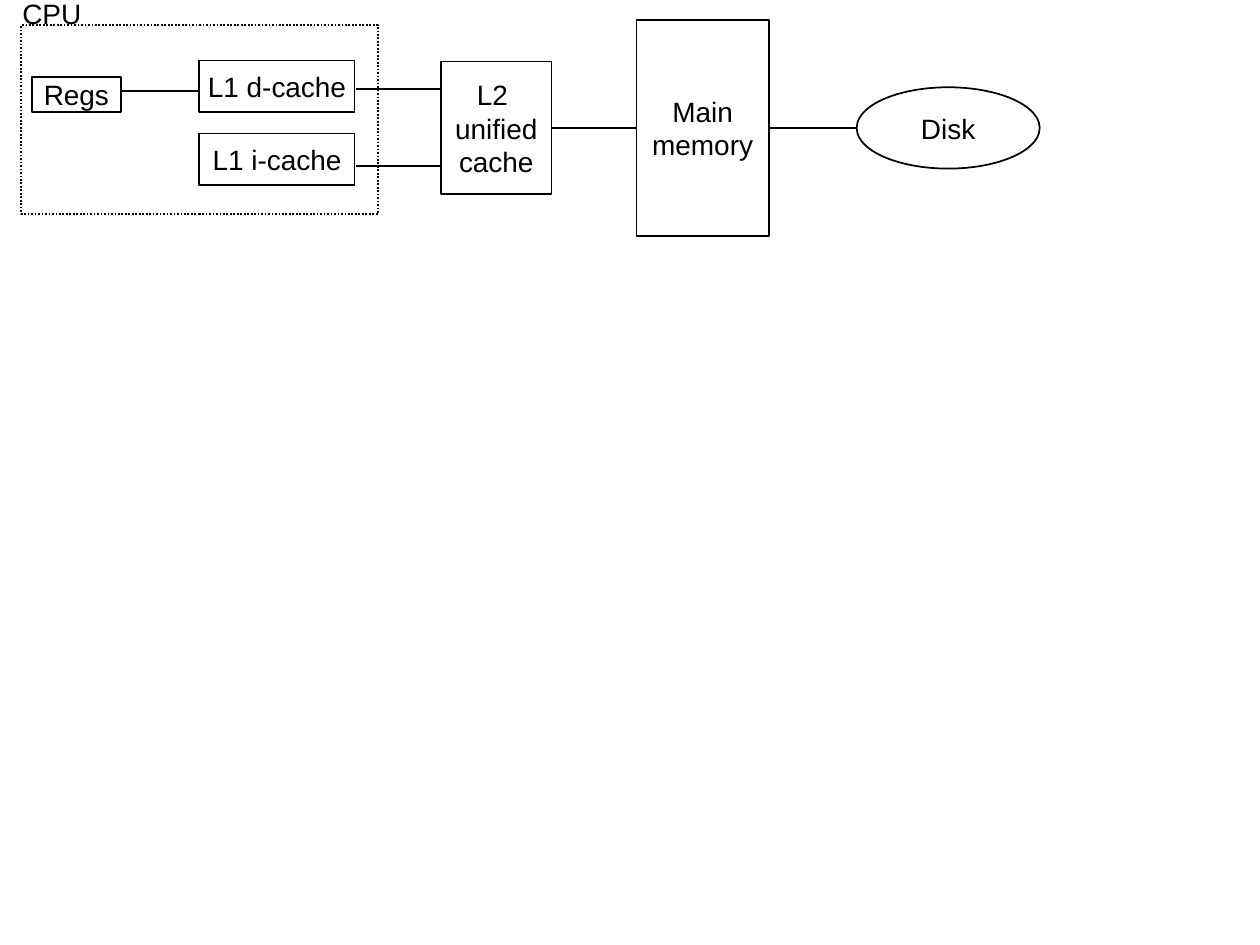
"""Build a slide showing the memory hierarchy from registers to disk."""
import pptx
import pptx.dml.color
import pptx.enum.dml
import pptx.enum.shapes
import pptx.enum.text
import pptx.oxml
import pptx.oxml.ns
import pptx.util

Cm, Pt = pptx.util.Cm, pptx.util.Pt
SHAPES = pptx.enum.shapes.MSO_SHAPE
STRAIGHT = pptx.enum.shapes.MSO_CONNECTOR.STRAIGHT
RIGHT, LEFT = 3, 1
BLACK, WHITE = "000000", "FFFFFF"

AXIS = 2.58
L1_LEFT, L1_WIDTH, L1_HEIGHT = 4.02, 3.13, 1.04
L2_LEFT = 8.89

UNITS = [
    ("Main\nmemory", SHAPES.RECTANGLE, 12.83, AXIS, 2.67, 4.36),
    ("Disk", SHAPES.OVAL, 17.27, AXIS, 3.69, 1.64),
    ("L1 i-cache", SHAPES.RECTANGLE, L1_LEFT, 3.21, L1_WIDTH, L1_HEIGHT),
    ("L1 d-cache", SHAPES.RECTANGLE, L1_LEFT, 1.74, L1_WIDTH, L1_HEIGHT),
    ("Regs", SHAPES.RECTANGLE, 0.64, 1.91, 1.8, 0.71),
    ("L2 \nunified\ncache", SHAPES.RECTANGLE, L2_LEFT, AXIS, 2.23, 2.68),
]
JOINS = [("L2 \nunified\ncache", "Main\nmemory"), ("Main\nmemory", "Disk")]
BUSES = [(2.44, L1_LEFT, 1.83), (7.17, L2_LEFT, 1.8), (7.17, L2_LEFT, 3.35)]


def color(value):
    return pptx.dml.color.RGBColor.from_string(value)


def outline(item):
    item.line.color.rgb = color(BLACK)
    item.line.width = Pt(1)


def write(box, text, align):
    frame = box.text_frame
    frame.text = text
    frame.word_wrap = False
    for para in frame.paragraphs:
        para.alignment = align
        for span in para.runs:
            span.font.name = "Arial"
            span.font.size = Pt(16)
            span.font.color.rgb = color(BLACK)


def add_unit(page, text, kind, left, middle, width, height):
    box = page.shapes.add_shape(
        kind, Cm(left), Cm(middle - height / 2), Cm(width), Cm(height))
    box.shadow.inherit = False
    box.fill.solid()
    box.fill.fore_color.rgb = color(WHITE)
    outline(box)
    write(box, text, pptx.enum.text.PP_ALIGN.CENTER)
    frame = box.text_frame
    frame.vertical_anchor = pptx.enum.text.MSO_ANCHOR.MIDDLE
    frame.margin_left = frame.margin_right = Cm(0.2)
    frame.margin_top = frame.margin_bottom = Cm(0.1)
    return box


def add_line(page, start=0, end=0, height=0):
    line = page.shapes.add_connector(
        STRAIGHT, Cm(start), Cm(height), Cm(end), Cm(height))
    outline(line)
    line._element.spPr.append(pptx.oxml.parse_xml(
        f"<a:effectLst {pptx.oxml.ns.nsdecls('a')}/>"))
    return line


def add_cpu(page):
    label = page.shapes.add_textbox(Cm(0.2), Cm(-0.2), Cm(1.7), Cm(0.91))
    write(label, "CPU", pptx.enum.text.PP_ALIGN.LEFT)
    border = page.shapes.add_shape(
        SHAPES.RECTANGLE, Cm(0.43), Cm(0.51), Cm(7.19), Cm(3.81))
    border.shadow.inherit = False
    border.fill.background()
    outline(border)
    border.line.dash_style = pptx.enum.dml.MSO_LINE.ROUND_DOT


def main():
    deck = pptx.Presentation()
    deck.slide_width, deck.slide_height = Cm(25.4), Cm(19.05)
    page = deck.slides.add_slide(deck.slide_layouts[6])
    boxes = {unit[0]: add_unit(page, *unit) for unit in UNITS}
    for start, end, height in BUSES:
        add_line(page, start, end, height)
    for source, target in JOINS:
        line = add_line(page)
        line.begin_connect(boxes[source], RIGHT)
        line.end_connect(boxes[target], LEFT)
    # Ellipse connection sites run 0 to 7, with 2 at the left.
        if target == "Disk":
            line.end_connect(boxes[target], 2)
            line.end_x, line.end_y = Cm(17.27), Cm(AXIS)
    add_cpu(page)
    deck.save("out.pptx")


if __name__ == "__main__":
    main()
